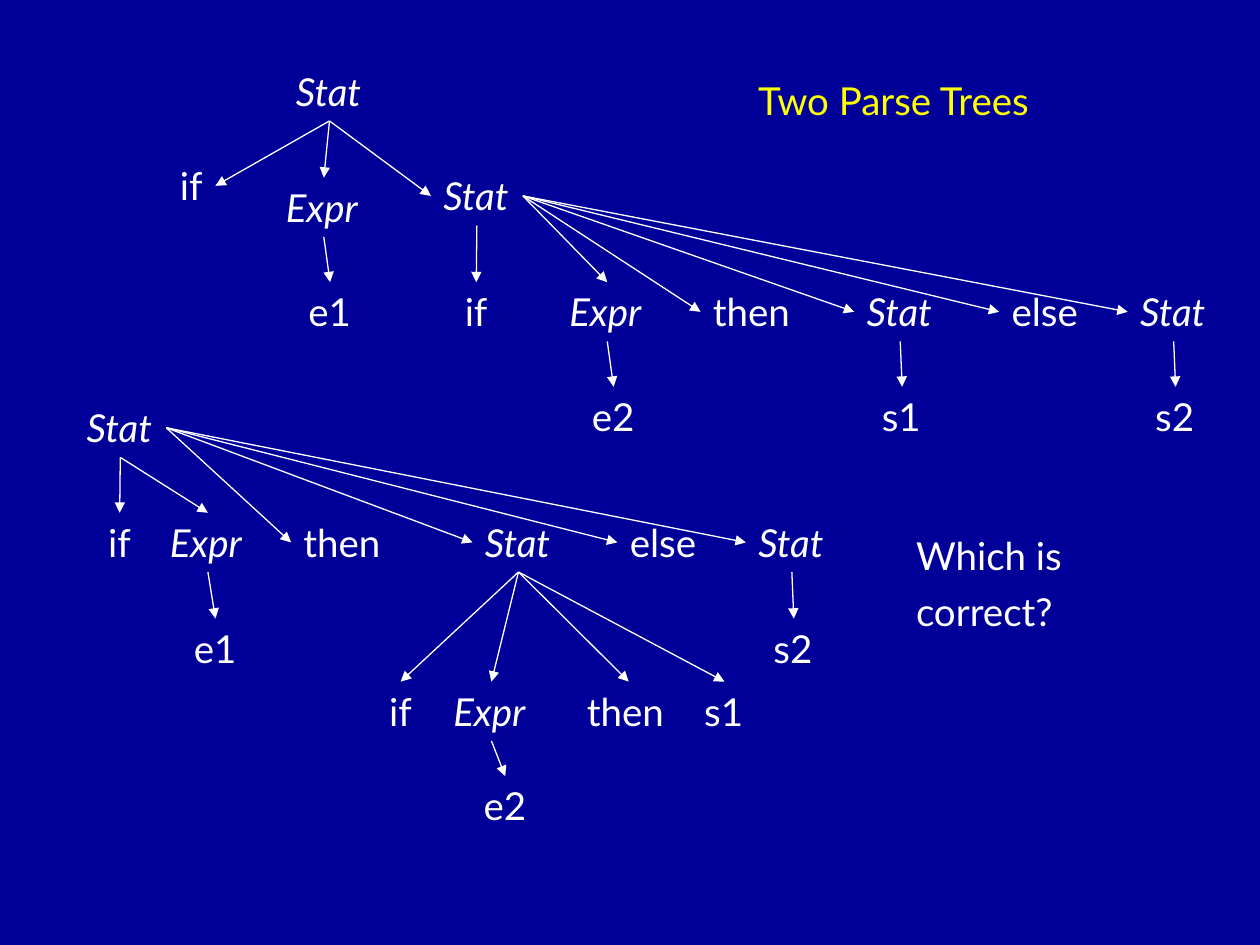
from lxml.etree import SubElement
from pptx import Presentation
from pptx.dml.color import RGBColor
from pptx.enum.shapes import MSO_CONNECTOR
from pptx.enum.text import MSO_ANCHOR, MSO_AUTO_SIZE, PP_ALIGN
from pptx.oxml.ns import qn
from pptx.util import Pt

PX = 9144
COLORS = {"back": "000099", "ink": "FFFFFF", "title": "FFFF00"}
FONT = "Lato"
NODE_H = 47
WIDTHS = {"Stat": 73, "Expr": 80, "if": 38, "then": 86, "else": 77,
          "e1": 54, "e2": 54, "s1": 52, "s2": 52}
NONTERMINALS = {"Stat", "Expr"}

# word, x, y, parent index, side left from, side arrived at
OUTER_ELSE_INSIDE = [
    ("Stat", 92, 0, None, None, None),
    ("if", 0, 75, 0, "bottom", "right"),
    ("Expr", 84, 92, 0, "bottom", "top"),
    ("Stat", 209, 83, 0, "bottom", "left"),
    ("e1", 102, 175, 2, "bottom", "top"),
    ("if", 226, 175, 3, "bottom", "top"),
    ("Expr", 309, 175, 3, "right", "top"),
    ("then", 423, 175, 3, "right", "left"),
    ("Stat", 545, 175, 3, "right", "left"),
    ("else", 660, 175, 3, "right", "left"),
    ("Stat", 762, 175, 3, "right", "left"),
    ("e2", 327, 258, 6, "bottom", "top"),
    ("s1", 557, 258, 8, "bottom", "top"),
    ("s2", 774, 258, 10, "bottom", "top"),
]
OUTER_ELSE_OUTSIDE = [
    ("Stat", 0, 0, None, None, None),
    ("if", 17, 91, 0, "bottom", "top"),
    ("Expr", 66, 91, 0, "bottom", "top"),
    ("then", 172, 91, 0, "right", "left"),
    ("Stat", 316, 91, 0, "right", "left"),
    ("else", 431, 91, 0, "right", "left"),
    ("Stat", 533, 91, 0, "right", "left"),
    ("e1", 85, 175, 2, "bottom", "top"),
    ("s2", 545, 175, 6, "bottom", "top"),
    ("if", 240, 225, 4, "bottom", "top"),
    ("Expr", 291, 225, 4, "bottom", "top"),
    ("then", 397, 225, 4, "bottom", "top"),
    ("s1", 490, 225, 4, "bottom", "top"),
    ("e2", 315, 300, 10, "bottom", "top"),
]


def px(*lengths):
    return [round(n * PX) for n in lengths]


def rgb(name):
    return RGBColor.from_string(COLORS[name])


def add_text(p, text, color="ink", italic=False, align=PP_ALIGN.LEFT):
    p.alignment = align
    r = p.add_run()
    r.text = text
    r.font.name = FONT
    r.font.size = Pt(22)
    r.font.italic = italic
    r.font.color.rgb = rgb(color)


def place(sp, box):
    sp.left, sp.top, sp.width, sp.height = px(*box)
    sp.text_frame.auto_size = MSO_AUTO_SIZE.NONE
    return sp.text_frame


def add_node(slide, word, x, y):
    sp = slide.shapes.add_textbox(*px(x, y, WIDTHS[word], NODE_H))
    tf = sp.text_frame
    tf.word_wrap = False
    tf.auto_size = MSO_AUTO_SIZE.SHAPE_TO_FIT_TEXT
    add_text(tf.paragraphs[0], word, italic=word in NONTERMINALS)


def add_arrow(slide, start, end):
    line = slide.shapes.add_connector(MSO_CONNECTOR.STRAIGHT, *px(*start, *end))
    line.line.color.rgb = rgb("ink")
    line.line.width = Pt(0.75)
    SubElement(line.line._get_or_add_ln(), qn("a:tailEnd"), type="triangle")
    SubElement(line._element.spPr, qn("a:effectLst"))


def add_tree(slide, left, top, nodes):
    def anchor(index, side):
        word, x, y = nodes[index][:3]
        w = WIDTHS[word]
        dx, dy = {"top": (w / 2, 0), "bottom": (w / 2, NODE_H),
                  "left": (0, NODE_H / 2), "right": (w, NODE_H / 2)}[side]
        return left + x + dx, top + y + dy

    for i, (word, x, y, parent, leave, arrive) in enumerate(nodes):
        add_node(slide, word, left + x, top + y)
        if parent is not None:
            add_arrow(slide, anchor(parent, leave), anchor(i, arrive))


def add_title(slide, box, text):
    tf = place(slide.shapes.title, box)
    tf.vertical_anchor = MSO_ANCHOR.MIDDLE
    add_text(tf.paragraphs[0], text, color="title", align=PP_ALIGN.CENTER)


def add_question(slide, box, lines):
    tf = place(slide.placeholders[1], box)
    for i, text in enumerate(lines):
        p = tf.add_paragraph() if i else tf.paragraphs[0]
        p.space_before = Pt(5.5 if i else 0)
        pPr = p._p.get_or_add_pPr()
        pPr.set("marL", str(38 * PX))
        pPr.set("indent", str(-38 * PX))
        SubElement(pPr, qn("a:buNone"))
        add_text(p, text)


def main():
    prs = Presentation()
    prs.slide_width, prs.slide_height = px(1000, 750)
    slide = prs.slides.add_slide(prs.slide_layouts[1])
    fill = slide.background.fill
    fill.solid()
    fill.fore_color.rgb = rgb("back")
    add_title(slide, (467, 17, 492, 125), "Two Parse Trees ")
    add_question(slide, (717, 417, 175, 150), ["Which is", "correct?"])
    add_tree(slide, 133, 49, OUTER_ELSE_INSIDE)
    add_tree(slide, 59, 316, OUTER_ELSE_OUTSIDE)
    prs.save("out.pptx")


if __name__ == "__main__":
    main()
